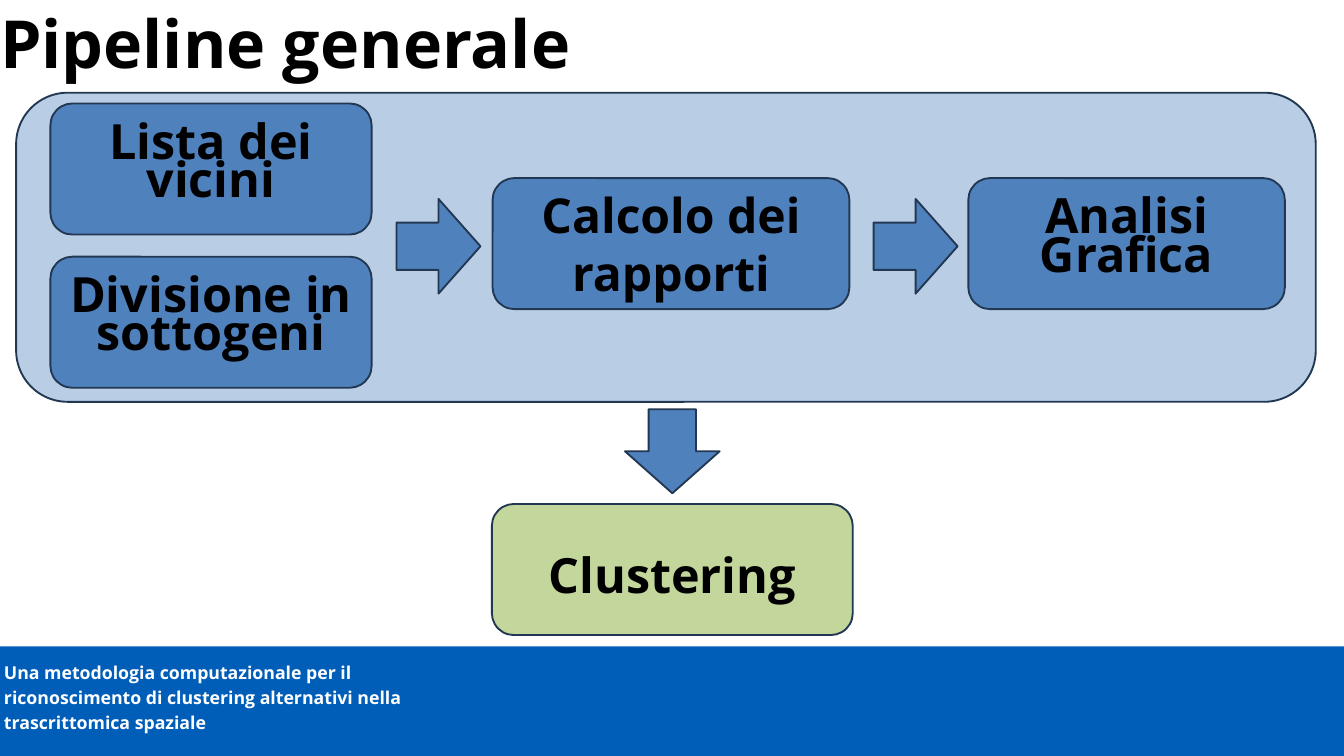
from pptx import Presentation
from pptx.dml.color import RGBColor
from pptx.enum.shapes import MSO_SHAPE as Shape
from pptx.enum.text import MSO_ANCHOR as Anchor, MSO_AUTO_SIZE as AutoSize, PP_ALIGN as Align
from pptx.util import Inches, Pt


def color(hex_value):
    return RGBColor.from_string(hex_value)


class PipelineSlide:
    FONT = "Open Sans"
    BLACK, WHITE = "000000", "FFFFFF"
    BLUE, PALE_BLUE, GREEN = "4F81BD", "B9CDE5", "C3D69B"
    OUTLINE, FOOTER_BLUE = "223852", "005EB8"

    def __init__(self, deck):
        self.slide = deck.slides.add_slide(deck.slide_layouts[5])

    def set_text(self, frame, lines, size, ink, align, spacing=None, inset=(0.1, 0.05),
                 anchor=Anchor.MIDDLE, fit=AutoSize.NONE):
        side, edge = map(Inches, inset)
        frame_format = {
            "word_wrap": True, "auto_size": fit, "vertical_anchor": anchor,
            "margin_left": side, "margin_right": side,
            "margin_top": edge, "margin_bottom": edge,
        }
        for name, value in frame_format.items():
            setattr(frame, name, value)
        frame.text = "\n".join(lines)
        font_format = {"name": self.FONT, "size": Pt(size), "bold": True}
        for paragraph in frame.paragraphs:
            paragraph.alignment = align
            if spacing:
                paragraph.line_spacing = Pt(spacing)
            for run in paragraph.runs:
                for name, value in font_format.items():
                    setattr(run.font, name, value)
                run.font.color.rgb = color(ink)

    def title(self, text, box):
        heading = self.slide.shapes.title
        for name, value in zip(("left", "top", "width", "height"), box):
            setattr(heading, name, Inches(value))
        self.set_text(heading.text_frame, [text], 71, self.BLACK, Align.LEFT, 99.4,
                      (0, 0), Anchor.TOP, AutoSize.SHAPE_TO_FIT_TEXT)

    def block(self, kind, box, fill, outlined=True):
        block = self.slide.shapes.add_shape(kind, *map(Inches, box))
        block.shadow.inherit = False
        block.fill.solid()
        block.fill.fore_color.rgb = color(fill)
        if outlined:
            block.line.color.rgb = color(self.OUTLINE)
            block.line.width = Pt(2)
        else:
            block.line.fill.background()
        return block

    def step(self, lines, box, fill=BLUE, size=52, spacing=41.2):
        step = self.block(Shape.ROUNDED_RECTANGLE, box, fill)
        self.set_text(step.text_frame, lines, size, self.BLACK, Align.CENTER, spacing)

    def arrow(self, left, top, rotation=0):
        arrow = self.block(Shape.RIGHT_ARROW, (left, top, 1.25, 1.41), self.BLUE)
        arrow.rotation = rotation

    def caption(self, lines, box):
        caption = self.slide.shapes.add_textbox(*map(Inches, box))
        self.set_text(caption.text_frame, lines, 19, self.WHITE, Align.JUSTIFY, 26.6,
                      (0.06, 0.06))


def main():
    deck = Presentation()
    deck.slide_width, deck.slide_height = Inches(20), Inches(11.25)
    page = PipelineSlide(deck)

    # Footer band
    page.block(Shape.RECTANGLE, (0, 9.62, 20, 1.63), page.FOOTER_BLUE, outlined=False)
    page.caption(["Una metodologia computazionale per il",
                  "riconoscimento di clustering alternativi nella",
                  "trascrittomica spaziale"], (0, 9.46, 20, 1.79))

    page.title("Pipeline generale", (0, -0.16, 8.77, 1.33))

    # Pipeline panel and its steps
    page.block(Shape.ROUNDED_RECTANGLE, (0.24, 1.38, 19.34, 4.6), page.PALE_BLUE)
    step_height = 1.95
    inputs = ("Lista dei vicini", 1.54), ("Divisione in sottogeni", 3.82)
    for text, top in inputs:
        page.step([text], (0.75, top, 4.78, step_height))
    page.step(["Calcolo dei rapporti"], (7.33, 2.65, 5.31, step_height), size=51.5, spacing=None)
    page.step(["Analisi", "Grafica"], (14.41, 2.65, 4.71, step_height))
    for left in (5.9, 13):
        page.arrow(left, 2.96)

    # Result
    page.arrow(9.38, 6.01, rotation=90)
    page.step(["Clustering"], (7.32, 7.5, 5.37, step_height), page.GREEN, spacing=72.8)

    deck.save("out.pptx")


if __name__ == "__main__":
    main()
